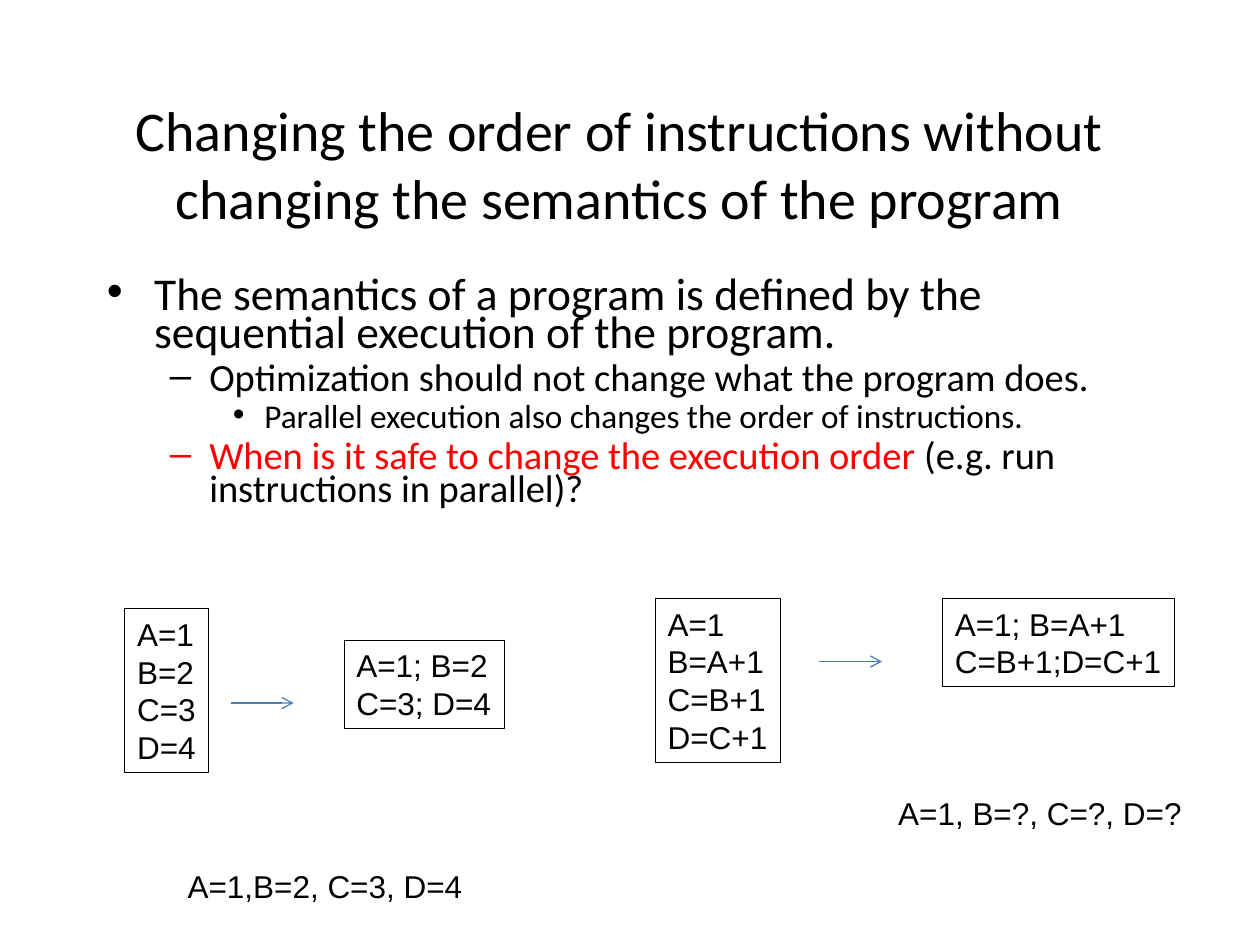
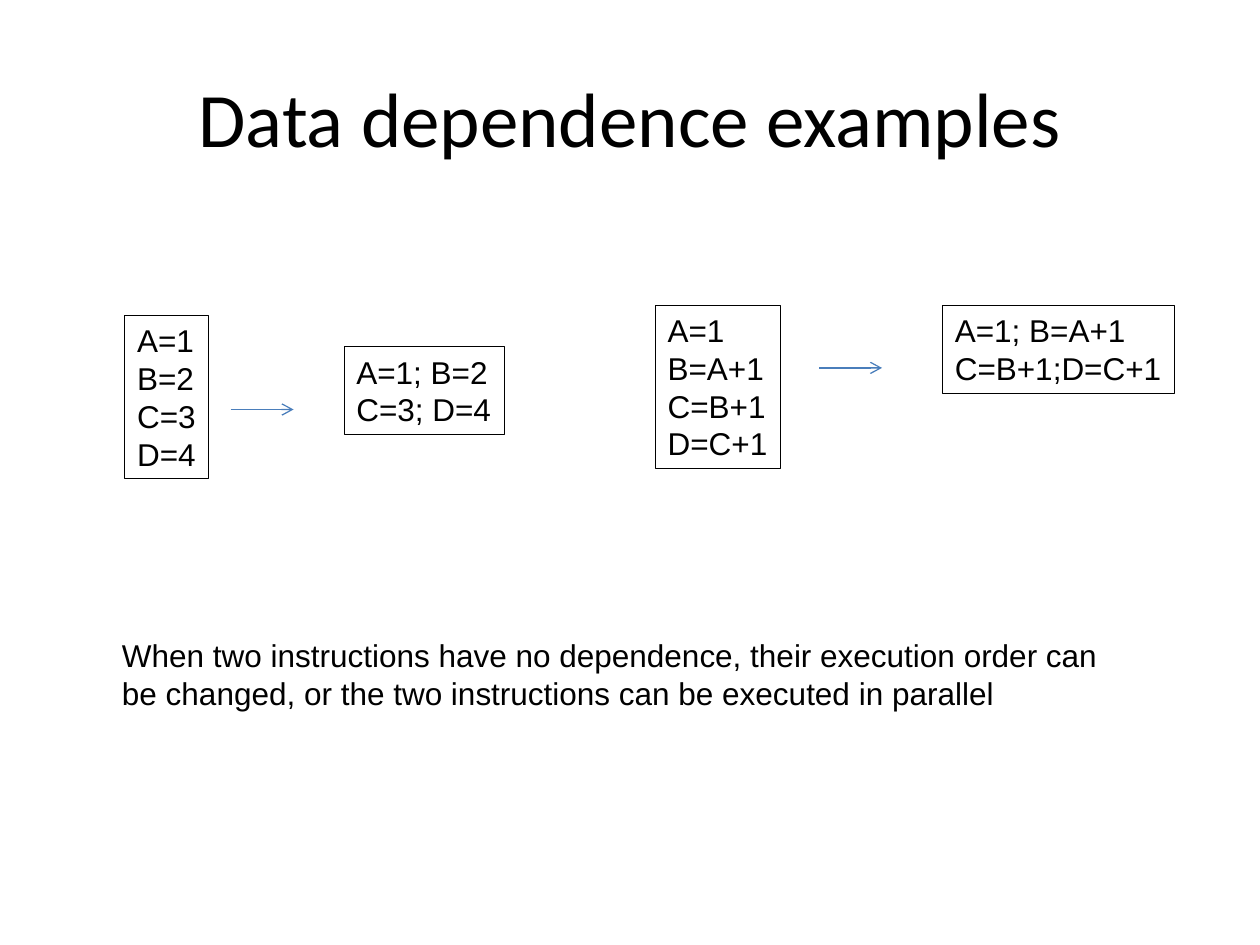
from dataclasses import dataclass

from lxml import etree
from pptx import Presentation
from pptx.dml.color import RGBColor
from pptx.enum.shapes import MSO_CONNECTOR, MSO_SHAPE
from pptx.enum.text import MSO_ANCHOR, MSO_AUTO_SIZE, PP_ALIGN
from pptx.oxml.ns import qn
from pptx.util import Inches, Pt

RECT = MSO_SHAPE.RECTANGLE
STRAIGHT = MSO_CONNECTOR.STRAIGHT
TOP, MIDDLE = MSO_ANCHOR.TOP, MSO_ANCHOR.MIDDLE
FIT = MSO_AUTO_SIZE.SHAPE_TO_FIT_TEXT
NO_FIT = MSO_AUTO_SIZE.NONE
LEFT, CENTER = PP_ALIGN.LEFT, PP_ALIGN.CENTER
TITLE_ONLY = 5

WIDTH, HEIGHT = Inches(10), Inches(7.5)
COLS, ROWS = 100, 75


@dataclass(frozen=True)
class Theme:
    ink: RGBColor = RGBColor(0, 0, 0)
    alert: RGBColor = RGBColor(255, 0, 0)
    arrow: RGBColor = RGBColor(0x4A, 0x7E, 0xBB)
    head: str = "Calibri"
    code: str = "Arial"
    code_size: float = 18
    box_line: float = 0.25
    arrow_line: float = 0.75
    # bullet, indent, hanging (columns), size, space before
    levels: tuple = (
        ("•", 3.75, 3.75, 26, 6.5),
        ("–", 8.13, 3.13, 22, 5.5),
        ("•", 12.5, 2.5, 19, 4.8),
    )


THEME = Theme()


@dataclass(frozen=True)
class Example:
    """Code before and after reordering; places are relative to the region."""
    at: tuple
    wide: float
    before: tuple
    shift: tuple
    after_wide: float
    after: tuple
    arrow: tuple
    note: str
    note_box: tuple


EXAMPLES = (
    Example((9.9, 0.8), 6.6, ("A=1", "B=2", "C=3", "D=4"),
            (17.4, 2.5), 12.7, ("A=1; B=2", "C=3; D=4"),
            (8.4, 7.5), "A=1,B=2, C=3, D=4", (4, 20, 23.8, 4)),
    Example((52, 0), 9.9, ("A=1", "B=A+1", "C=B+1", "D=C+1"),
            (22.8, 0), 18.4, ("A=1; B=A+1", "C=B+1;D=C+1"),
            (13, 5), "A=1, B=?, C=?, D=?", (18.3, 15, 24.5, 4)),
)


def grid(x, y, *size):
    """Turn columns and rows into lengths."""
    spans = (WIDTH / COLS, HEIGHT / ROWS) * 2
    return [int(n * span) for n, span in zip((x, y, *size), spans)]


def style(font, name, size, color=THEME.ink):
    font.name, font.size = name, Pt(size)
    font.color.rgb = color


def add_title(slide, text, box, size):
    title = slide.shapes.title
    title.left, title.top, title.width, title.height = grid(*box)
    frame = title.text_frame
    frame.text = text
    frame.vertical_anchor = MIDDLE
    frame.auto_size = NO_FIT
    para = frame.paragraphs[0]
    para.alignment = CENTER
    style(para.font, THEME.head, size)


def write(frame, lines, fit):
    """Fill an unwrapped frame with one paragraph per line."""
    frame.text = "\n".join(lines)
    frame.word_wrap = False
    frame.auto_size = fit
    frame.vertical_anchor = TOP
    for para in frame.paragraphs:
        para.alignment = LEFT
        style(para.font, THEME.code, THEME.code_size)


def add_label(slide, lines, box):
    write(slide.shapes.add_textbox(*grid(*box)).text_frame, lines, FIT)


def add_code(slide, lines, x, y, wide):
    tall = 1 + 3 * len(lines)
    shape = slide.shapes.add_shape(RECT, *grid(x, y, wide, tall))
    shape.shadow.inherit = False
    shape.fill.background()
    shape.line.color.rgb = THEME.ink
    shape.line.width = Pt(THEME.box_line)
    # A slim right margin leaves room for the widest line
    shape.text_frame.margin_right = Inches(0.02)
    write(shape.text_frame, lines, NO_FIT)


def add_arrow(slide, x, y, wide=5):
    line = slide.shapes.add_connector(
        STRAIGHT, *grid(x, y, x + wide, y))
    line.line.color.rgb = THEME.arrow
    line.line.width = Pt(THEME.arrow_line)
    props = line.element.spPr
    etree.SubElement(props.find(qn("a:ln")), qn("a:tailEnd"), type="arrow")
    etree.SubElement(props, qn("a:effectLst"))


def add_pairs(slide, top, notes=False):
    """Place both examples in a region that starts at the given row."""
    for ex in EXAMPLES:
        x, y = ex.at[0], top + ex.at[1]
        add_code(slide, ex.before, x, y, ex.wide)
        add_arrow(slide, x + ex.arrow[0], y + ex.arrow[1])
        add_code(slide, ex.after, x + ex.shift[0], y + ex.shift[1],
                 ex.after_wide)
        if notes:
            dx, dy, wide, tall = ex.note_box
            add_label(slide, [ex.note], (x + dx, y + dy, wide, tall))


def add_bullet(para, mark, indent, hang, color):
    props = para._p.get_or_add_pPr()
    props.set("marL", str(grid(indent, 0)[0]))
    props.set("indent", str(-grid(hang, 0)[0]))
    tint = etree.SubElement(props, qn("a:buClr"))
    etree.SubElement(tint, qn("a:srgbClr"), val=str(color))
    etree.SubElement(props, qn("a:buFont"), typeface=THEME.code)
    etree.SubElement(props, qn("a:buChar"), char=mark)


def add_points(slide, points, box):
    """Each point is a level and its runs of text and colour."""
    frame = slide.shapes.add_textbox(*grid(*box)).text_frame
    frame.word_wrap = True
    for i, (level, *runs) in enumerate(points):
        para = frame.add_paragraph() if i else frame.paragraphs[0]
        mark, indent, hang, size, space = THEME.levels[level]
        add_bullet(para, mark, indent, hang, runs[0][1])
        para.level = level
        para.line_spacing = 0.7
        para.space_before = Pt(space if i else 0)
        style(para.font, THEME.head, size)
        for text, color in runs:
            run = para.add_run()
            run.text = text
            run.font.color.rgb = color


def order_slide(slide):
    add_title(slide, "Changing the order of instructions without "
              "changing the semantics of the program",
              (6.7, 6.7, 85, 12.5), 32)
    ink = THEME.ink
    add_points(slide, (
        (0, ("The semantics of a program is defined by the "
             "sequential execution of the program.", ink)),
        (1, ("Optimization should not change what the program does.", ink)),
        (2, ("Parallel execution also changes the order of "
             "instructions.", ink)),
        (1, ("When is it safe to change the execution order ", THEME.alert),
         ("(e.g. run instructions in parallel)?", ink)),
    ), (7.5, 21.7, 80, 24.2))
    add_pairs(slide, 47.5, notes=True)


def data_slide(slide):
    add_title(slide, "Data dependence examples", (5, 3, 90, 12.5), 44)
    add_pairs(slide, 24.2)
    add_label(slide, (
        "When two instructions have no dependence, their execution order can",
        "be changed, or the two instructions can be executed in parallel",
    ), (8.7, 50, 79.4, 10))


def main():
    deck = Presentation()
    deck.slide_width, deck.slide_height = WIDTH, HEIGHT
    for build in (order_slide, data_slide):
        build(deck.slides.add_slide(deck.slide_layouts[TITLE_ONLY]))
    deck.save("out.pptx")


if __name__ == "__main__":
    main()
